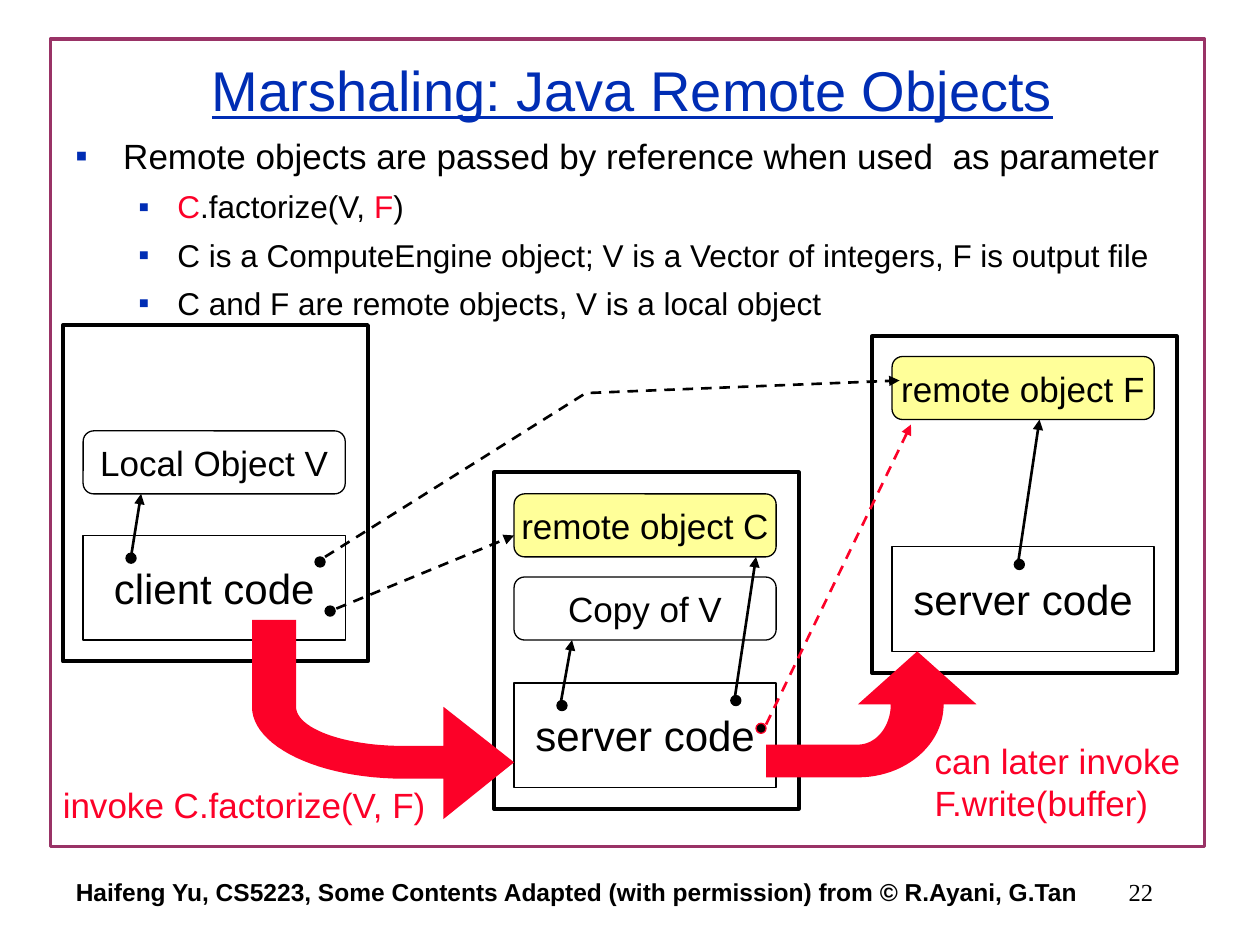
import math

import pptx
import pptx.util
from lxml import etree
from pptx.dml.color import RGBColor
from pptx.enum.dml import MSO_LINE
from pptx.enum.shapes import MSO_CONNECTOR, MSO_SHAPE
from pptx.enum.text import MSO_ANCHOR, PP_ALIGN
from pptx.oxml.ns import qn

PX = 9144  # EMU per px, 100 px to the inch
BLACK = RGBColor(0x00, 0x00, 0x00)
BLUE = RGBColor(0x00, 0x2D, 0xB4)
RED = RGBColor(0xFC, 0x01, 0x28)
PLUM = RGBColor(0x99, 0x33, 0x66)
YELLOW = RGBColor(0xFF, 0xFF, 0x99)
DOT = 8


def px(*lengths):
    return [pptx.util.Emu(round(v * PX)) for v in lengths]


def add_run(p, text, size=20, color=BLACK, font="Arial", bold=False, underline=False):
    r = p.add_run()
    r.text = text
    r.font.size = pptx.util.Pt(size)
    r.font.name = font
    r.font.color.rgb = color
    r.font.bold = bold
    r.font.underline = underline


def write(sp, text, align=PP_ALIGN.CENTER, anchor=MSO_ANCHOR.MIDDLE, wrap=False,
          before=0, **fmt):
    tf = sp.text_frame
    tf.word_wrap = wrap
    tf.vertical_anchor = anchor
    p = tf.paragraphs[0]
    p.alignment = align
    p.space_before = pptx.util.Pt(before)
    add_run(p, text, **fmt)


def add_text(s, box, text, **fmt):
    write(s.shapes.add_textbox(*px(*box)), text, **fmt)


def paint(sp, fill=None, line=None, width=0.75):
    sp.shadow.inherit = False
    if fill is None:
        sp.fill.background()
    else:
        sp.fill.solid()
        sp.fill.fore_color.rgb = fill
    if line is None:
        sp.line.fill.background()
    else:
        sp.line.color.rgb = line
        sp.line.width = pptx.util.Pt(width)


def add_box(s, kind, box, fill=None, line=BLACK, width=0.75):
    sp = s.shapes.add_shape(kind, *px(*box))
    paint(sp, fill, line, width)
    return sp


def add_outline(s, points, closed):
    fb = s.shapes.build_freeform(*px(*points[0]), scale=1.0)
    fb.add_line_segments([px(*pt) for pt in points[1:]], close=closed)
    return fb.convert_to_shape()


def add_arrowhead(sp):
    ln = sp.element.spPr.get_or_add_ln()
    etree.SubElement(ln, qn("a:tailEnd"), type="triangle", w="med", len="med")


def link(s, dot, points, color=BLACK, dashed=False):
    """Draw a start dot at its top-left corner and an arrow along the points."""
    add_box(s, MSO_SHAPE.OVAL, (*dot, DOT, DOT), fill=BLACK, line=color)
    if len(points) == 2:
        sp = s.shapes.add_connector(MSO_CONNECTOR.STRAIGHT, *px(*points[0], *points[1]))
        etree.SubElement(sp.element.spPr, qn("a:effectLst"))
        sp.line.color.rgb = color
        sp.line.width = pptx.util.Pt(1.5)
    else:
        sp = add_outline(s, points, closed=False)
        paint(sp, line=color, width=1.5)
    if dashed:
        sp.line.dash_style = MSO_LINE.DASH
    add_arrowhead(sp)


def machine(s, x, y, code, objects):
    """Draw a host with a code box; objects holds (offset, label, fill)."""
    for dy, label, fill in objects:
        sp = add_box(s, MSO_SHAPE.ROUNDED_RECTANGLE, (x + 16, y + dy, 208, 50), fill)
        write(sp, label)
    sp = add_box(s, MSO_SHAPE.RECTANGLE, (x + 16, y + 167, 208, 83))
    write(sp, code, size=24)
    add_box(s, MSO_SHAPE.RECTANGLE, (x, y, 242, 267), width=2.25)


def arc(cx, cy, rx, ry, start, end, steps=24):
    """Points of an elliptical arc; degrees run clockwise from the right."""
    angles = [math.radians(start + (end - start) * i / steps) for i in range(steps + 1)]
    return [(cx + rx * math.cos(a), cy + ry * math.sin(a)) for a in angles]


def red_arrow(s, x, y, points):
    sp = add_outline(s, [(x + dx, y + dy) for dx, dy in points], closed=True)
    paint(sp, fill=RED)


def invoke_arrow(s, x, y):
    red_arrow(s, x, y, [
        (208, 113), (152, 158), (152, 126),
        *arc(120, 69, 120, 57, 90, 180), (0, 0), (35, 0),
        *arc(120, 69, 85, 31, 180, 90), (152, 100), (152, 69)])


def write_arrow(s, x, y):
    red_arrow(s, x, y, [
        (120, 0), (167, 42), *arc(73, 42, 68, 58, 0, 90), (0, 100), (0, 74),
        *arc(73, 42, 26, 32, 90, 0), (73, 42)])


def bullets(s, box, items):
    """Place a list of (level, runs), where runs are (text, colour)."""
    tf = s.shapes.add_textbox(*px(*box)).text_frame
    tf.word_wrap = True
    for i, (level, runs) in enumerate(items):
        p = tf.add_paragraph() if i else tf.paragraphs[0]
        p.level = level
        p.space_before = pptx.util.Pt(6 if i else 2)
        margin, hang, size = ((38, 38, 20), (81, 31, 18))[level]
        pPr = p._p.get_or_add_pPr()
        pPr.set("marL", str(margin * PX))
        pPr.set("indent", str(-hang * PX))
        color = etree.SubElement(pPr, qn("a:buClr"))
        etree.SubElement(color, qn("a:srgbClr"), val=str(BLUE))
        etree.SubElement(pPr, qn("a:buFont"), typeface="Arial")
        etree.SubElement(pPr, qn("a:buChar"), char="▪")
        for text, c in runs:
            add_run(p, text, size=size, color=c)


def frame(s):
    add_box(s, MSO_SHAPE.RECTANGLE, (40, 31, 916, 641), line=PLUM, width=2)
    add_text(s, (33, 683, 850, 50),
             "Haifeng Yu, CS5223, Some Contents Adapted (with permission) from © R.Ayani, G.Tan",
             size=14, bold=True)
    add_text(s, (717, 683, 208, 50), "22", align=PP_ALIGN.RIGHT, wrap=True, size=14,
             font="Times New Roman")
    add_text(s, (77, 25, 850, 92), "Marshaling: Java Remote Objects", wrap=True,
             size=32, color=BLUE, underline=True)


def diagram(s):
    machine(s, 392, 375, "server code",
            [(17, "remote object C", YELLOW), (83, "Copy of V", None)])
    machine(s, 50, 258, "client code", [(84, "Local Object V", None)])
    machine(s, 692, 267, "server code", [(16, "remote object F", YELLOW)])

    link(s, (442, 556), [(445, 558), (454, 508)])
    link(s, (580, 552), [(583, 555), (600, 442)])
    link(s, (100, 439), [(104, 442), (112, 392)])
    link(s, (805, 444), [(808, 447), (825, 333)])
    link(s, (258, 481), [(267, 483), (408, 425)], dashed=True)
    link(s, (250, 442), [(258, 442), (465, 312), (714, 302)], dashed=True)
    link(s, (600, 574), [(608, 575), (723, 337)], color=RED, dashed=True)

    invoke_arrow(s, 200, 492)
    write_arrow(s, 608, 517)
    note = dict(align=PP_ALIGN.LEFT, anchor=MSO_ANCHOR.TOP, wrap=True, before=2, color=RED)
    add_text(s, (40, 617, 310, 43), "invoke C.factorize(V, F)", **note)
    add_text(s, (732, 582, 218, 77), "can later invoke F.write(buffer)", **note)


def main():
    prs = pptx.Presentation()
    prs.slide_width, prs.slide_height = px(1000, 750)
    s = prs.slides.add_slide(prs.slide_layouts[6])
    frame(s)
    bullets(s, (50, 102, 900, 553), [
        (0, [("Remote objects are passed by reference when used  as parameter", BLACK)]),
        (1, [("C", RED), (".factorize(V, ", BLACK), ("F", RED), (")", BLACK)]),
        (1, [("C is a ComputeEngine object; V is a Vector of integers, F is output file",
              BLACK)]),
        (1, [("C and F are remote objects, V is a local object", BLACK)]),
    ])
    diagram(s)
    prs.save("out.pptx")


if __name__ == "__main__":
    main()
